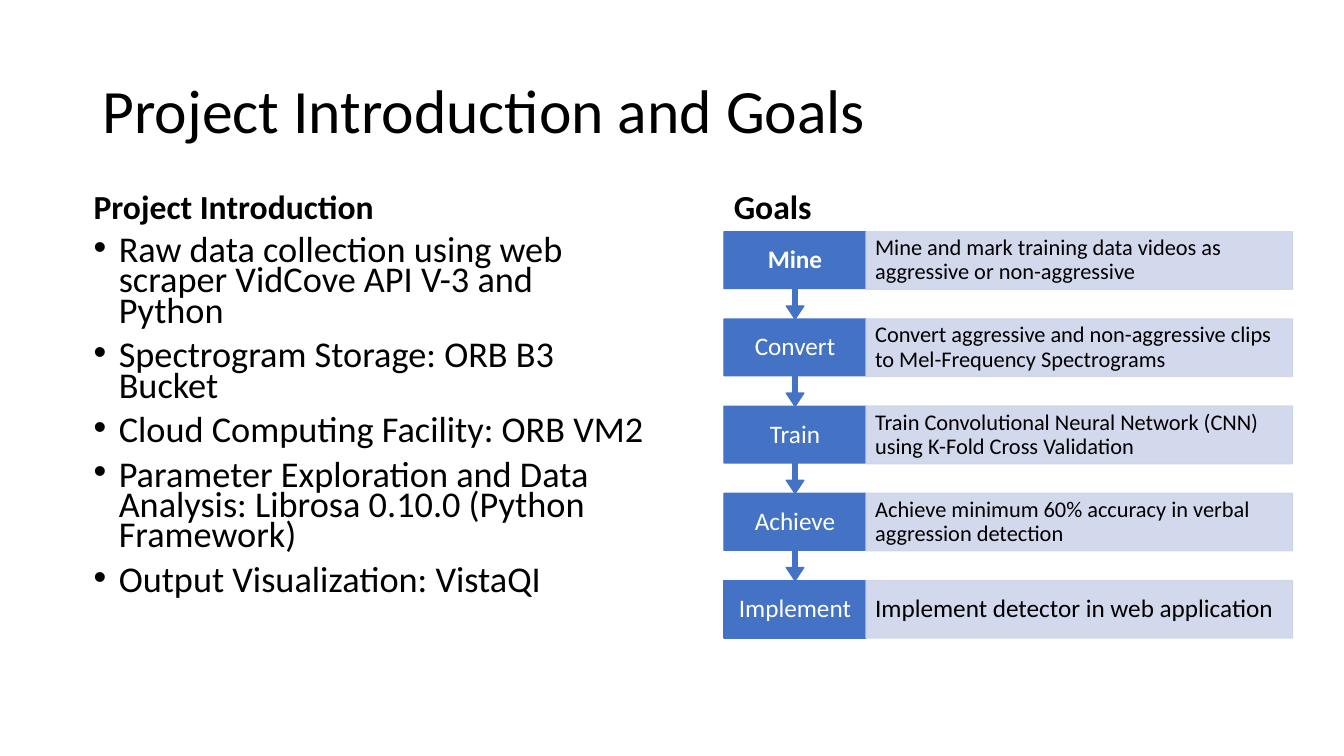
from dataclasses import dataclass

from lxml import etree
from pptx import Presentation, util as u
from pptx.dml.color import RGBColor
from pptx.enum import shapes, text
from pptx.oxml.ns import qn
from pptx.shapes.autoshape import Shape
from pptx.slide import Slide

BLACK = RGBColor(0, 0, 0)
WHITE = RGBColor(255, 255, 255)
BLUE = RGBColor(0x44, 0x72, 0xC4)
PALE = RGBColor(0xCF, 0xD5, 0xEA)

LEFT, TOP = 7.18, 2.3  # corner of the goals grid
COL, ROW = 1.41, 0.865  # one column for the tag, three for the note
BAR = 0.57  # height of a bar within its row
HEAD = 1.4  # top of both headings


@dataclass(frozen=True)
class Box:
    x: float
    y: float
    w: float
    h: float

    def emu(self) -> list[u.Length]:
        return [u.Inches(n) for n in (self.x, self.y, self.w, self.h)]


@dataclass(frozen=True)
class Style:
    size: float
    color: RGBColor = BLACK
    bold: bool = False
    align: text.PP_ALIGN = text.PP_ALIGN.LEFT
    anchor: text.MSO_ANCHOR = text.MSO_ANCHOR.MIDDLE
    lead: float = 0.9
    before: float = 0
    side: float = 0.1
    edge: float = 0.05
    bullet: bool = False


@dataclass(frozen=True)
class Goal:
    tag: str
    note: str
    size: float = 16
    bold: bool = False


GOALS = [
    Goal("Mine", "Mine and mark training data videos as aggressive or non-aggressive", bold=True),
    Goal("Convert", "Convert aggressive and non-aggressive clips to Mel-Frequency Spectrograms"),
    Goal("Train", "Train Convolutional Neural Network (CNN) using K-Fold Cross Validation"),
    Goal("Achieve", "Achieve minimum 60% accuracy in verbal aggression detection"),
    Goal("Implement", "Implement detector in web application", size=18),
]
POINTS = [
    "Raw data collection using web scraper VidCove API V-3 and Python",
    "Spectrogram Storage: ORB B3 Bucket",
    "Cloud Computing Facility: ORB VM2",
    "Parameter Exploration and Data Analysis: Librosa 0.10.0 (Python Framework)",
    "Output Visualization: VistaQI",
]


def write(shape: Shape, lines: list[str], style: Style) -> None:
    frame = shape.text_frame
    frame.word_wrap = True
    frame.vertical_anchor = style.anchor
    frame.margin_left = frame.margin_right = u.Inches(style.side)
    frame.margin_top = frame.margin_bottom = u.Inches(style.edge)
    frame.text = "\n".join(lines)
    for para in frame.paragraphs:
        para.alignment = style.align
        para.line_spacing = style.lead
        para.space_before = u.Pt(style.before)
        font = para.font
        font.name, font.size, font.bold = "Calibri", u.Pt(style.size), style.bold
        font.color.rgb = style.color
        if style.bullet:
            dot(para)


def dot(para: text.PP_ALIGN) -> None:
    """Give the paragraph a hanging round bullet."""
    props = para._p.get_or_add_pPr()
    props.set("marL", str(u.Inches(0.25)))
    props.set("indent", str(-u.Inches(0.25)))
    mark = etree.Element(qn("a:buChar"), char="•")
    props.find(qn("a:defRPr")).addprevious(mark)
    mark.addprevious(etree.Element(qn("a:buFont"), typeface="Arial"))


def label(slide: Slide, box: Box, lines: list[str], style: Style) -> None:
    write(slide.shapes.add_textbox(*box.emu()), lines, style)


def block(slide: Slide, kind: shapes.MSO_SHAPE, box: Box, color: RGBColor) -> Shape:
    shape = slide.shapes.add_shape(kind, *box.emu())
    shape.shadow.inherit = False
    shape.fill.solid()
    shape.fill.fore_color.rgb = color
    shape.line.color.rgb = color
    shape.line.width = u.Pt(1)
    return shape


def fade(shape: Shape, share: int) -> None:
    """Make fill and line opaque to the given percentage."""
    for tone in shape._element.spPr.iter(qn("a:srgbClr")):
        etree.SubElement(tone, qn("a:alpha"), val=str(share * 1000))


def step(slide: Slide, row: int, goal: Goal) -> None:
    """Draw a goal's tag, its arrow to the next row, and its note."""
    y = TOP + row * ROW
    tag = Box(LEFT, y, COL, BAR)
    if row == len(GOALS) - 1:
        block(slide, shapes.MSO_SHAPE.RECTANGLE, tag, BLUE)
    else:
        arrow = block(slide, shapes.MSO_SHAPE.UP_ARROW_CALLOUT, Box(LEFT, y, COL, ROW), BLUE)
        arrow.rotation = 180
        for i, share in enumerate((0.05, 0.1, 0.15, 0.65)):
            arrow.adjustments[i] = share
    label(slide, tag, [goal.tag],
          Style(18, WHITE, goal.bold, text.PP_ALIGN.CENTER, edge=0.14))
    note = block(slide, shapes.MSO_SHAPE.RECTANGLE, Box(LEFT + COL, y, 3 * COL, BAR), PALE)
    fade(note, 90)
    write(note, [goal.note], Style(goal.size, side=0.09, edge=0))


def main() -> None:
    deck = Presentation()
    deck.slide_width, deck.slide_height = u.Inches(13.33), u.Inches(7.5)
    slide = deck.slides.add_slide(deck.slide_layouts[6])

    label(slide, Box(0.92, 0.4, 11.5, 1.45), ["Project Introduction and Goals"], Style(44))
    head = Style(24, bold=True, anchor=text.MSO_ANCHOR.BOTTOM, before=10)
    label(slide, Box(LEFT, HEAD, 4 * COL, 0.9), ["Goals"], head)
    for row, goal in reversed(list(enumerate(GOALS))):
        step(slide, row, goal)

    label(slide, Box(0.83, HEAD, 5.67, 0.9), ["Project Introduction"], head)
    label(slide, Box(0.83, 2.31, 5.67, 4.03), POINTS,
          Style(25.9, anchor=text.MSO_ANCHOR.TOP, lead=0.7, before=10, bullet=True))
    deck.save("out.pptx")


if __name__ == "__main__":
    main()
